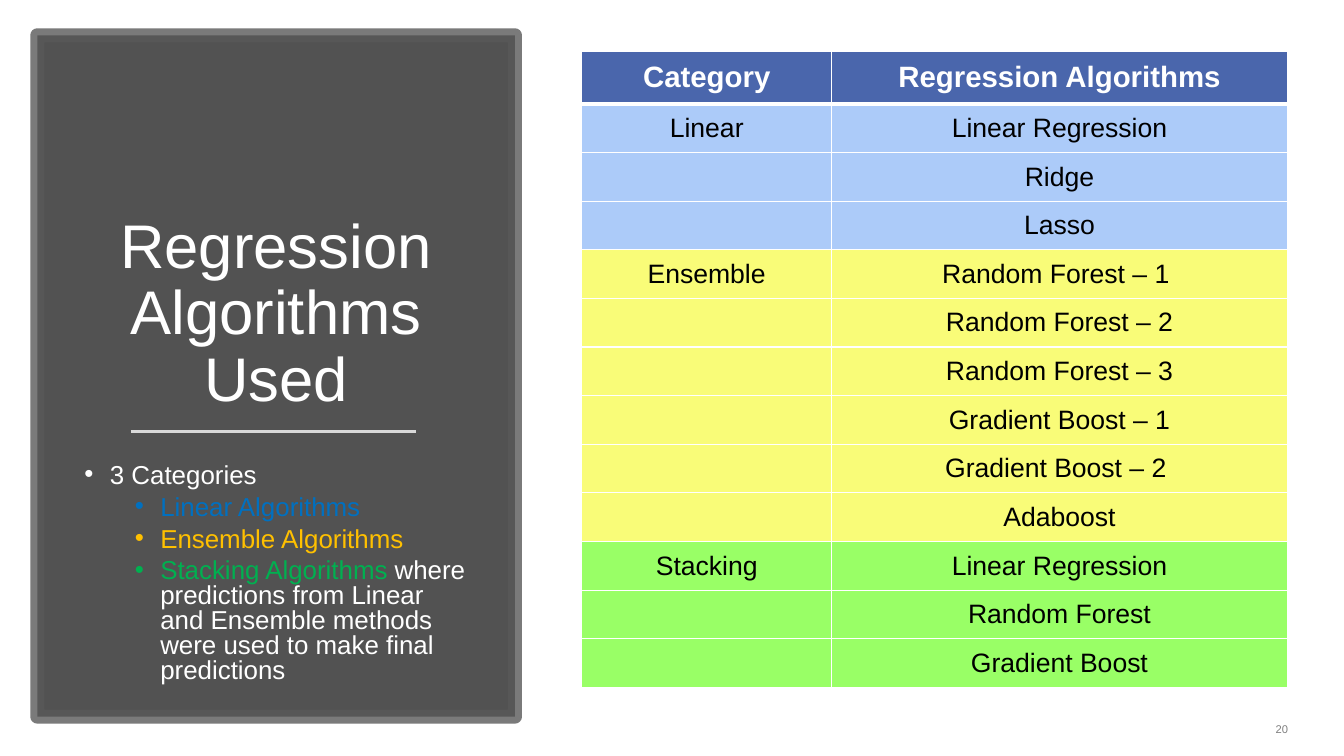
from lxml.etree import SubElement
from pptx import Presentation
from pptx.dml.color import RGBColor
from pptx.enum.shapes import MSO_CONNECTOR as CONN, MSO_SHAPE as SHAPE
from pptx.enum.text import MSO_ANCHOR as ANCHOR, MSO_AUTO_SIZE as AUTO, PP_ALIGN as ALIGN
from pptx.oxml.ns import qn
from pptx.util import Cm, Pt

COLORS = {
    "white": "FFFFFF", "black": "000000", "panel": "404040", "frame": "595959",
    "rule": "D9D9D9", "number": "808080", "header": "4A66AC",
    "linear_text": "0070C0", "ensemble_text": "FFC000", "stacking_text": "00B050",
    "linear": "ACCBF9", "ensemble": "F9FC78", "stacking": "99FF66",
}
GROUPS = [
    ("Linear", "linear", ["Linear Regression", "Ridge", "Lasso"]),
    ("Ensemble", "ensemble", ["Random Forest – 1 ", "Random Forest – 2", "Random Forest – 3",
                              "Gradient Boost – 1", "Gradient Boost – 2 ", "Adaboost"]),
    ("Stacking", "stacking", ["Linear Regression", "Random Forest", "Gradient Boost"]),
]
# Each bullet: level, then its runs as (text, colour)
BULLETS = [
    (0, [("3 Categories", "white")]),
    (1, [("Linear Algorithms", "linear_text")]),
    (1, [("Ensemble Algorithms", "ensemble_text")]),
    (1, [("Stacking Algorithms ", "stacking_text"),
         ("where predictions from Linear and Ensemble methods were used to make final predictions",
          "white")]),
]


def rgb(name):
    return RGBColor.from_string(COLORS[name])


def add_text(p, text, size, color="white", bold=False, align=None, spacing=None):
    r = p.add_run()
    r.text = text
    r.font.name, r.font.size, r.font.bold = "Arial", Pt(size), bold
    r.font.color.rgb = rgb(color)
    if align is not None:
        p.alignment = align
    if spacing is not None:
        p.line_spacing = spacing


def set_alpha(fill_parent, percent):
    color = fill_parent.find(qn("a:solidFill"))[0]
    SubElement(color, qn("a:alpha"), val=str(percent * 1000))


def set_bullet(p, level):
    p.level = level
    pPr = p._p.get_or_add_pPr()
    pPr.set("marL", str(Cm(0.64 + 1.27 * level)))
    pPr.set("indent", str(-Cm(0.64)))
    SubElement(pPr, qn("a:buFont"), typeface="Arial")
    SubElement(pPr, qn("a:buChar"), char="•")


def set_borders(cell, bottom):
    tcPr = cell._tc.get_or_add_tcPr()
    for side, width in (("L", 1), ("R", 1), ("T", 1), ("B", bottom)):
        ln = SubElement(tcPr, qn(f"a:ln{side}"), w=str(Pt(width)))
        fill = SubElement(ln, qn("a:solidFill"))
        SubElement(fill, qn("a:srgbClr"), val=COLORS["white"])


def add_panel(slide, x, y, w, h):
    # Dark framed background
    sp = slide.shapes.add_shape(SHAPE.RECTANGLE, Cm(x), Cm(y), Cm(w), Cm(h))
    sp.shadow.inherit = False
    sp.fill.solid()
    sp.fill.fore_color.rgb = rgb("panel")
    sp.line.color.rgb = rgb("frame")
    sp.line.width = Pt(10)
    spPr = sp._element.spPr
    set_alpha(spPr, 90)
    set_alpha(spPr.find(qn("a:ln")), 80)

    # Title, brought in front of the background
    inner_x, inner_w = x + 0.94, 10.16
    title = slide.shapes.title
    slide.shapes._spTree.append(title._element)
    title.left, title.top = Cm(inner_x), Cm(y + 1.65)
    title.width, title.height = Cm(inner_w), Cm(8.03)
    tf = title.text_frame
    tf.auto_size, tf.word_wrap, tf.vertical_anchor = AUTO.NONE, True, ANCHOR.BOTTOM
    add_text(tf.paragraphs[0], "Regression Algorithms Used", 44,
             align=ALIGN.CENTER, spacing=0.9)

    # Rule under the title
    rule_y = Cm(y + 9.98)
    rule = slide.shapes.add_connector(CONN.STRAIGHT, Cm(x + 2.36), rule_y, Cm(x + 9.55), rule_y)
    rule.line.color.rgb = rgb("rule")
    rule.line.width = Pt(1.75)
    SubElement(rule._element.spPr, qn("a:effectLst"))

    # Bulleted summary
    body = slide.shapes.add_textbox(Cm(inner_x), Cm(y + 10.69), Cm(inner_w), Cm(5.74))
    tf = body.text_frame
    tf.word_wrap = True
    for i, (level, runs) in enumerate(BULLETS):
        p = tf.add_paragraph() if i else tf.paragraphs[0]
        p.space_before = Pt(5 if level else 10)
        for text, color in runs:
            add_text(p, text, 18.5, color, align=ALIGN.LEFT, spacing=0.8)
        set_bullet(p, level)


def add_algorithm_table(slide, x, y, w, h):
    rows = [("Category", "Regression Algorithms", "header")]
    for category, color, names in GROUPS:
        rows += [("" if i else category, name, color) for i, name in enumerate(names)]

    table = slide.shapes.add_table(len(rows), 2, Cm(x), Cm(y), Cm(w), Cm(h)).table
    category_w, header_h = 6.3, 1.32
    table.columns[0].width, table.columns[1].width = Cm(category_w), Cm(w - category_w)
    for i, (category, name, color) in enumerate(rows):
        header = i == 0
        table.rows[i].height = Cm(header_h if header else (h - header_h) / (len(rows) - 1))
        for j, text in enumerate((category, name)):
            cell = table.cell(i, j)
            set_borders(cell, 3 if header else 1)
            cell.fill.solid()
            cell.fill.fore_color.rgb = rgb(color)
            cell.vertical_anchor = ANCHOR.MIDDLE
            cell.margin_left = cell.margin_right = Cm(0.3)
            cell.margin_top = cell.margin_bottom = Cm(0.15)
            if text:
                add_text(cell.text_frame.paragraphs[0], text, 21 if header else 19,
                         "white" if header else "black", bold=header, align=ALIGN.CENTER)


def add_slide_number(slide, x, y, w, h):
    tf = slide.shapes.add_textbox(Cm(x), Cm(y), Cm(w), Cm(h)).text_frame
    tf.margin_left = tf.margin_right = tf.margin_top = tf.margin_bottom = 0
    tf.word_wrap, tf.vertical_anchor = True, ANCHOR.MIDDLE
    add_text(tf.paragraphs[0], "20", 8, "number", align=ALIGN.RIGHT, spacing=1.25)


def main():
    prs = Presentation()
    prs.slide_width, prs.slide_height = Cm(33.87), Cm(19.05)
    slide = prs.slides.add_slide(prs.slide_layouts[5])
    add_panel(slide, 0.94, 0.89, 12.04, 17.17)
    add_algorithm_table(slide, 14.66, 1.3, 17.78, 16.03)
    add_slide_number(slide, 30.48, 18.14, 1.98, 0.38)
    prs.save("out.pptx")


if __name__ == "__main__":
    main()
